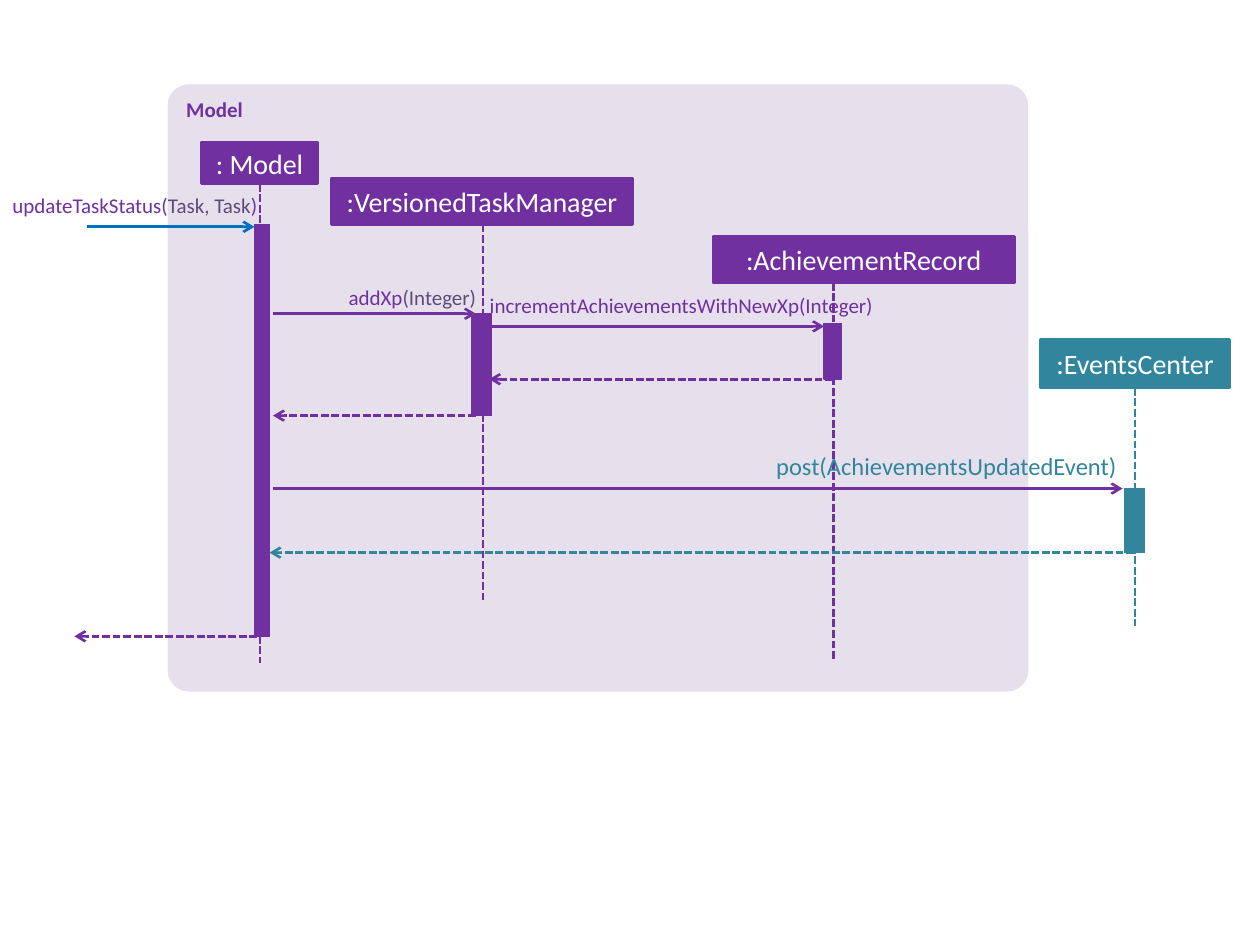
"""Build a sequence diagram of a task status update."""
from dataclasses import dataclass

from lxml import etree
from pptx import Presentation
from pptx.dml.color import RGBColor
from pptx.enum.dml import MSO_LINE
from pptx.enum.shapes import MSO_CONNECTOR, MSO_SHAPE
from pptx.enum.text import MSO_ANCHOR, MSO_AUTO_SIZE, PP_ALIGN
from pptx.oxml.ns import qn
from pptx.util import Pt


@dataclass(frozen=True)
class Theme:
    font: str = "Calibri"
    purple: str = "7030A0"
    muted: str = "604A7B"
    teal: str = "31859C"
    blue: str = "0070C0"
    panel: str = "E6E0EC"
    white: str = "FFFFFF"
    small: int = 12
    medium: int = 14
    large: int = 16
    stroke: float = 1.5
    thin: float = 0.75


class SequenceDiagram:
    def __init__(self, slide, theme):
        self.shapes = slide.shapes
        self.theme = theme

    def set_text(self, frame, runs, size, align, bold=False):
        frame.word_wrap = True
        paragraph = frame.paragraphs[0]
        paragraph.alignment = align
        for text, color in runs:
            run = paragraph.add_run()
            run.text = text
            run.font.name = self.theme.font
            run.font.size = Pt(size)
            run.font.bold = bold
            run.font.color.rgb = RGBColor.from_string(color)

    def block(self, box, fill, stroke=0, kind=MSO_SHAPE.RECTANGLE):
        shape = self.shapes.add_shape(kind, *map(Pt, box))
        shape.shadow.inherit = False
        shape.fill.solid()
        shape.fill.fore_color.rgb = RGBColor.from_string(fill)
        if stroke:
            shape.line.width = Pt(stroke)
            shape.line.color.rgb = RGBColor.from_string(fill)
        else:
            shape.line.fill.background()
        return shape

    def panel(self, title, box):
        shape = self.block(box, self.theme.panel, kind=MSO_SHAPE.ROUNDED_RECTANGLE)
        shape.adjustments[0] = 0.035
        shape.text_frame.vertical_anchor = MSO_ANCHOR.TOP
        self.set_text(shape.text_frame, [(title, self.theme.purple)],
                      self.theme.small, PP_ALIGN.LEFT, bold=True)

    def line(self, start, end, color, dashed=False, arrow=False):
        connector = self.shapes.add_connector(
            MSO_CONNECTOR.STRAIGHT, *map(Pt, (*start, *end)))
        connector.line.color.rgb = RGBColor.from_string(color)
        connector.line.width = Pt(self.theme.stroke)
        if dashed:
            connector.line.dash_style = MSO_LINE.SQUARE_DOT
        properties = connector.element.spPr
        if arrow:
            etree.SubElement(properties.find(qn("a:ln")), qn("a:tailEnd"), type="arrow")
        etree.SubElement(properties, qn("a:effectLst"))

    def participant(self, name, head, life_x, life_end, bar, color):
        shape = self.block(head, color, self.theme.stroke)
        shape.text_frame.vertical_anchor = MSO_ANCHOR.MIDDLE
        self.set_text(shape.text_frame, [(name, self.theme.white)],
                      self.theme.large, PP_ALIGN.CENTER)
        self.line((life_x, head[1] + head[3]), (life_x, life_end), color, dashed=True)
        self.block(bar, color, self.theme.thin)

    def message(self, sender_x, receiver_x, y, color, reply=False):
        self.line((sender_x, y), (receiver_x, y), color, dashed=reply, arrow=True)

    def label(self, box, runs, size, align=PP_ALIGN.RIGHT):
        frame = self.shapes.add_textbox(*map(Pt, box)).text_frame
        frame.margin_left = frame.margin_right = 0
        frame.margin_top = frame.margin_bottom = 0
        self.set_text(frame, runs, size, align)
        frame.auto_size = MSO_AUTO_SIZE.SHAPE_TO_FIT_TEXT


theme = Theme()
purple, muted, teal = theme.purple, theme.muted, theme.teal
presentation = Presentation()
presentation.slide_width, presentation.slide_height = Pt(720), Pt(540)
slide = presentation.slides.add_slide(presentation.slide_layouts[6])
diagram = SequenceDiagram(slide, theme)

diagram.panel("Model", (95.8, 48.2, 491.8, 347))

participants = [
    (": Model", (115.2, 81.2, 66.2, 23.8), 148.5, 379,
     (145.4, 128.2, 8.6, 235.4), purple),
    (":VersionedTaskManager", (189.4, 101.7, 172.1, 26.6), 276, 344,
     (269.3, 179.3, 11.5, 58.3), purple),
    (":AchievementRecord", (407.5, 135.1, 172.1, 26.6), 476.3, 378,
     (470.9, 185, 10.1, 31.7), purple),
    (":EventsCenter", (594.5, 194, 108.2, 27.7), 648.5, 358,
     (642.7, 279.2, 11.5, 36.7), teal),
]
for participant in participants:
    diagram.participant(*participant)

messages = [
    (50, 145.4, 129.6, theme.blue),
    (156, 272, 179.3, purple),
    (280.8, 470.9, 186.5, purple),
    (476, 279.5, 216.7, purple, True),
    (272, 156, 237.5, purple, True),
    (156, 641.5, 279.2, purple),
    (648, 154, 315.8, teal, True),
    (147, 42.5, 363.6, purple, True),
]
for message in messages:
    diagram.message(*message)

labels = [
    ((-15.1, 110.2, 162, 14.4),
     [("updateTaskStatus(", purple), ("Task, Task", muted), (")", purple)], theme.small),
    ((148.3, 162.7, 123.8, 14.4),
     [("addXp", purple), ("(Integer)", muted)], theme.small),
    ((262.8, 167, 236.2, 14.4),
     [("incrementAchievementsWithNewXp(Integer)", purple)], theme.small),
    ((443.5, 257.8, 229.7, 17.3),
     [("post(AchievementsUpdatedEvent)", teal)], theme.medium, PP_ALIGN.LEFT),
]
for label in labels:
    diagram.label(*label)

presentation.save("out.pptx")
